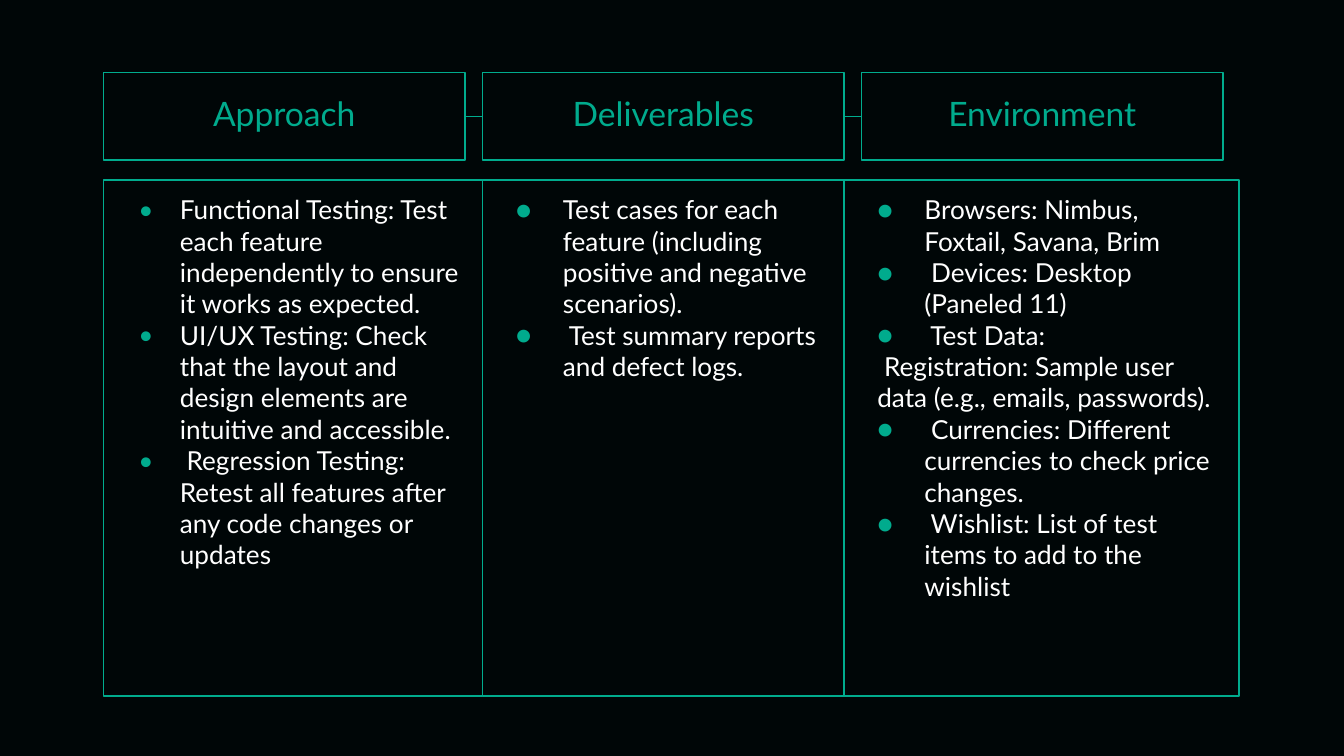
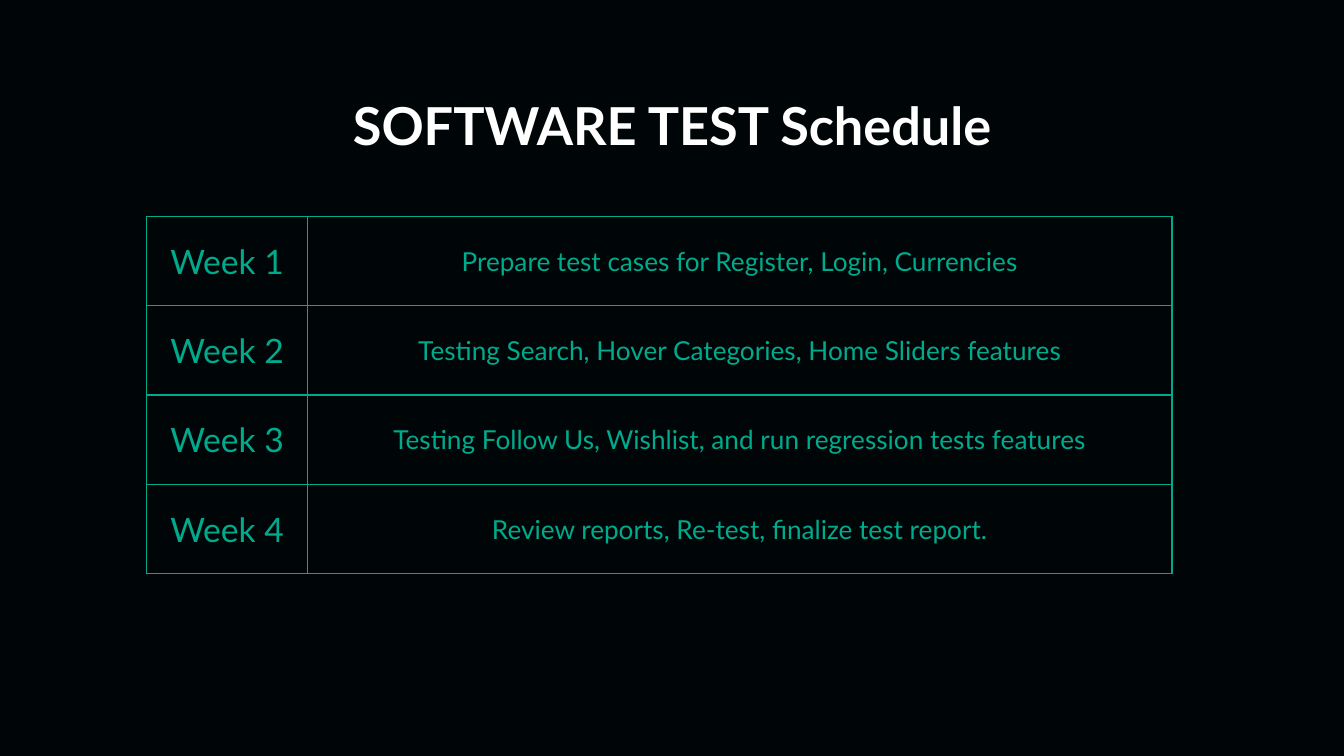
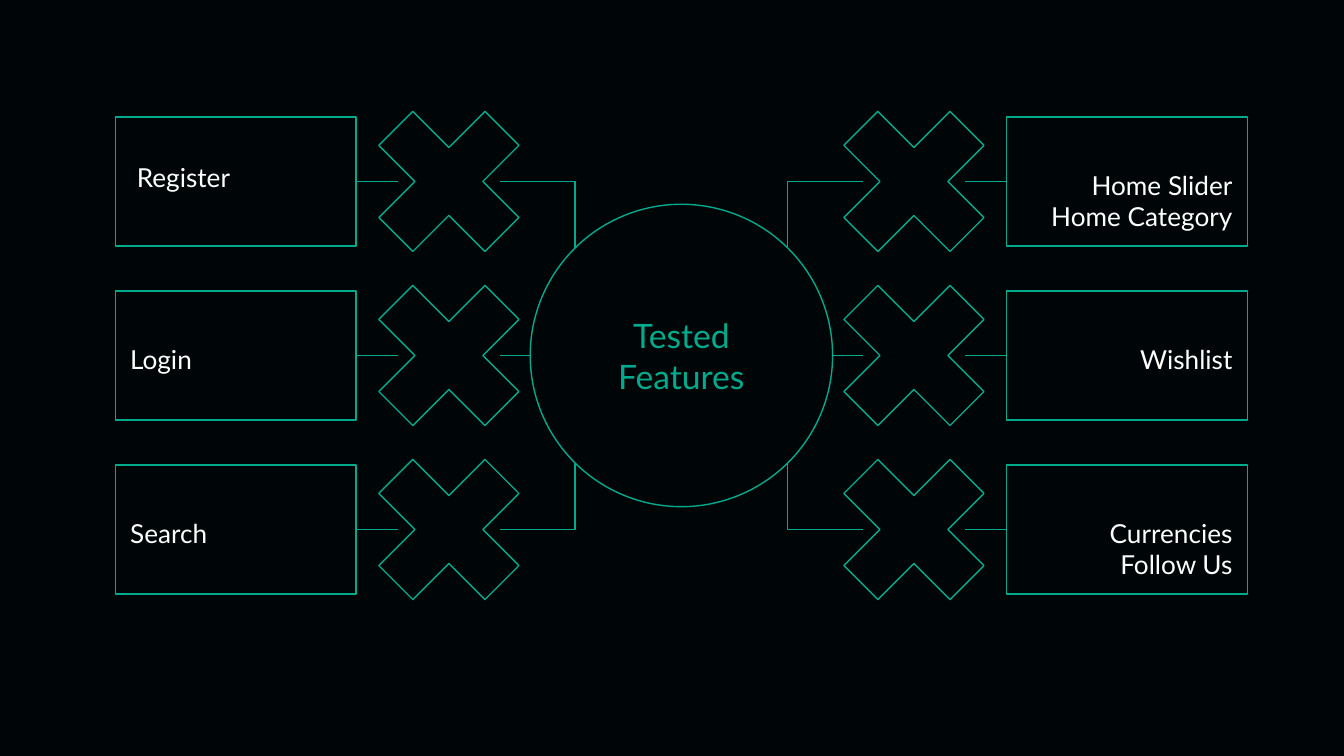
from lxml import etree
from pptx import Presentation
from pptx import util as u
from pptx.dml.color import RGBColor
from pptx.enum import shapes, text
from pptx.oxml.ns import qn

WIDTH = 10
HEIGHT = WIDTH * 9 / 16
FONT = "Lato"
DARK, TEAL, WHITE = "000607", "00AB8D", "FFFFFF"
LINE_WIDTH = 0.75
INSET = 0.1
HEADING, BODY, TITLE = 18, 14, 28

LEFT, CENTER, RIGHT = text.PP_ALIGN.LEFT, text.PP_ALIGN.CENTER, text.PP_ALIGN.RIGHT
TOP, MIDDLE, BOTTOM = (text.MSO_ANCHOR.TOP, text.MSO_ANCHOR.MIDDLE,
                       text.MSO_ANCHOR.BOTTOM)
KIND = shapes.MSO_SHAPE

# Heading, body left, body width, bullet mark, (indent, hanging), items.
# An item is its text and whether it has a bullet.
PLAN = [
    ("Approach", 0.77, 2.82, "•", (0.47, -0.31), [
        ("Functional Testing: Test each feature independently to ensure it works "
         "as expected.", True),
        ("UI/UX Testing: Check that the layout and design elements are intuitive "
         "and accessible.", True),
        (" Regression Testing: Retest all features after any code changes or "
         "updates", True)]),
    ("Deliverables", 3.59, 2.69, "●", (0.5, -0.35), [
        ("Test cases for each feature (including positive and negative scenarios).",
         True),
        (" Test summary reports and defect logs.", True)]),
    ("Environment", 6.28, 2.94, "●", (0.5, -0.35), [
        ("Browsers: Nimbus, Foxtail, Savana, Brim", True),
        (" Devices: Desktop (Paneled 11)", True),
        (" Test Data:", True),
        (" Registration: Sample user data (e.g., emails, passwords).", False),
        (" Currencies: Different currencies to check price changes.", True),
        (" Wishlist: List of test items to add to the wishlist", True)]),
]
SCHEDULE = [
    ("Week 1", "Prepare test cases for Register, Login, Currencies"),
    ("Week 2", "Testing Search, Hover Categories, Home Sliders features"),
    ("Week 3", "Testing Follow Us, Wishlist, and run regression tests features"),
    ("Week 4", "Review reports, Re-test, finalize test report."),
]
FEATURES = [
    (["Register"], ["Home Slider", "Home Category"]),
    (["Login"], ["Wishlist"]),
    (["Search"], ["Currencies", "Follow Us"]),
]


def color(value):
    return RGBColor.from_string(value)


def inches(*lengths):
    return [u.Inches(length) for length in lengths]


def format_frame(frame, anchor=TOP, bottom=INSET):
    frame.word_wrap = True
    frame.vertical_anchor = anchor
    frame.margin_left = frame.margin_right = frame.margin_top = u.Inches(INSET)
    frame.margin_bottom = u.Inches(bottom)


def add_span(para, words, size, shade, bold=False):
    span = para.add_run()
    span.text = words
    span.font.name, span.font.size, span.font.bold = FONT, u.Pt(size), bold
    span.font.color.rgb = color(shade)


def write(frame, lines, size, shade, align=CENTER, bold=False):
    """Fill the first paragraph, with a line break between lines."""
    para = frame.paragraphs[0]
    para.alignment = align
    for number, words in enumerate(lines):
        if number:
            para.add_line_break()
        add_span(para, words, size, shade, bold)


def indent(para, left, hanging, mark=None):
    settings = para._p.get_or_add_pPr()
    settings.set("marL", str(u.Inches(left)))
    settings.set("indent", str(u.Inches(hanging)))
    if mark:
        shade = etree.SubElement(settings, qn("a:buClr"))
        etree.SubElement(shade, qn("a:srgbClr"), val=TEAL)
        etree.SubElement(settings, qn("a:buFont"), typeface=FONT)
        etree.SubElement(settings, qn("a:buChar"), char=mark)


def add_outline(page, kind, left, top, width, height, adjustment=None):
    box = page.shapes.add_shape(kind, *inches(left, top, width, height))
    box.shadow.inherit = False
    box.fill.background()
    box.line.color.rgb = color(TEAL)
    box.line.width = u.Pt(LINE_WIDTH)
    if adjustment is not None:
        box.adjustments[0] = adjustment
    return box


def add_link(page, start, end, bent=False):
    """Draw a line; a bent one runs across first and then up or down."""
    kind = shapes.MSO_CONNECTOR.ELBOW if bent else shapes.MSO_CONNECTOR.STRAIGHT
    link = page.shapes.add_connector(kind, *inches(*start, *end))
    link.line.color.rgb = color(TEAL)
    link.line.width = u.Pt(LINE_WIDTH)
    properties = link._element.spPr
    etree.SubElement(properties, qn("a:effectLst"))
    if bent:
        properties.find(qn("a:prstGeom")).set("prst", "bentConnector2")
    return link


def add_label(page, lines, left, top, width, height, align):
    box = page.shapes.add_textbox(*inches(left, top, width, height))
    format_frame(box.text_frame)
    write(box.text_frame, lines, BODY, WHITE, align)


def add_borders(cell):
    settings = cell._tc.get_or_add_tcPr()
    for side in ("a:lnL", "a:lnR", "a:lnT", "a:lnB"):
        border = etree.SubElement(settings, qn(side), w=str(u.Pt(LINE_WIDTH)))
        fill = etree.SubElement(border, qn("a:solidFill"))
        etree.SubElement(fill, qn("a:srgbClr"), val=TEAL)


def add_page(deck, layout):
    return deck.slides.add_slide(deck.slide_layouts.get_by_name(layout))


def add_plan(deck):
    page = add_page(deck, "Blank")
    pitch, width = 2.82, 2.69
    headers = []
    for column, (heading, left, body_width, mark, hang, items) in enumerate(PLAN):
        header = add_outline(page, KIND.ROUNDED_RECTANGLE, 0.77 + column * pitch,
                             0.54, width, 0.65, 0)
        format_frame(header.text_frame, BOTTOM, 0.2)
        write(header.text_frame, [heading], HEADING, TEAL)
        headers.append(header)

        body = add_outline(page, KIND.ROUNDED_RECTANGLE, left, 1.34, body_width,
                           3.84, 0)
        frame = body.text_frame
        format_frame(frame)
        for number, (words, bulleted) in enumerate(items):
            para = frame.add_paragraph() if number else frame.paragraphs[0]
            para.alignment = LEFT
            if bulleted:
                indent(para, *hang, mark)
            else:
                indent(para, 0.15, 0)
            add_span(para, words, BODY, WHITE)
    for before, after in zip(headers, headers[1:]):
        link = add_link(page, (0, 0), (1, 1))
        link.begin_connect(before, 3)
        link.end_connect(after, 1)


def add_schedule(deck):
    page = add_page(deck, "Title Only")
    title = page.shapes.title
    title.left, title.top, title.width, title.height = inches(0.78, 0.59, 8.44, 0.62)
    format_frame(title.text_frame)
    write(title.text_frame, ["SOFTWARE TEST Schedule"], TITLE, WHITE, bold=True)

    widths, height = (1.2, 6.43), 2.66
    table = page.shapes.add_table(len(SCHEDULE), len(widths),
                                  *inches(1.09, 1.61, sum(widths), height)).table
    table.first_row = table.horz_banding = False
    for column, width in zip(table.columns, widths):
        column.width = u.Inches(width)
    for row, entries in enumerate(SCHEDULE):
        for column, (words, size) in enumerate(zip(entries, (HEADING, BODY))):
            cell = table.cell(row, column)
            add_borders(cell)
            cell.fill.background()
            cell.vertical_anchor = MIDDLE
            cell.margin_left = cell.margin_right = u.Inches(INSET)
            cell.margin_top = cell.margin_bottom = u.Inches(INSET)
            write(cell.text_frame, [words], size, TEAL)


def add_features(deck):
    page = add_page(deck, "Blank")
    axis, first, pitch = 5.07, 1.35, 1.295
    box_width, box_height, cross, circle = 1.79, 0.96, 1.52, 2.25
    label_width, label_height = 1.76, 0.58
    middle = first + pitch
    radius = circle / 2

    hub = add_outline(page, KIND.OVAL, axis - radius, middle - radius, circle, circle)
    format_frame(hub.text_frame, MIDDLE)
    write(hub.text_frame, ["Tested Features"], HEADING, TEAL)

    for row, sides in enumerate(FEATURES):
        y = first + row * pitch
        for lines, mirrored in zip(sides, (False, True)):
            def place(x, width=0):
                return 2 * axis - x - width if mirrored else x

            box = add_outline(page, KIND.RECTANGLE, place(0.86, box_width),
                              y - box_height / 2, box_width, box_height)
            add_outline(page, KIND.MATH_MULTIPLY, place(2.58, cross),
                        y - cross / 2, cross, cross, 0.235)
            link = add_link(page, (place(2.65), y), (place(2.96), y))
            link.begin_connect(box, 1 if mirrored else 3)

            inner = (place(3.72), y)
            if row == 1:
                add_link(page, inner, (place(axis - radius), y))
            else:
                reach = 0.8 if row else -0.8
                add_link(page, inner, (place(4.28), middle + reach), bent=True)

            shift_x, shift_y = (0.05, -0.06) if lines == ["Register"] else (0, 0)
            add_label(page, lines, place(0.87, label_width) + shift_x,
                      y - 0.19 + shift_y, label_width, label_height,
                      RIGHT if mirrored else LEFT)


def main():
    deck = Presentation()
    deck.slide_width, deck.slide_height = inches(WIDTH, HEIGHT)
    background = deck.slide_master.background.fill
    background.solid()
    background.fore_color.rgb = color(DARK)
    add_plan(deck)
    add_schedule(deck)
    add_features(deck)
    deck.save("out.pptx")


if __name__ == "__main__":
    main()
